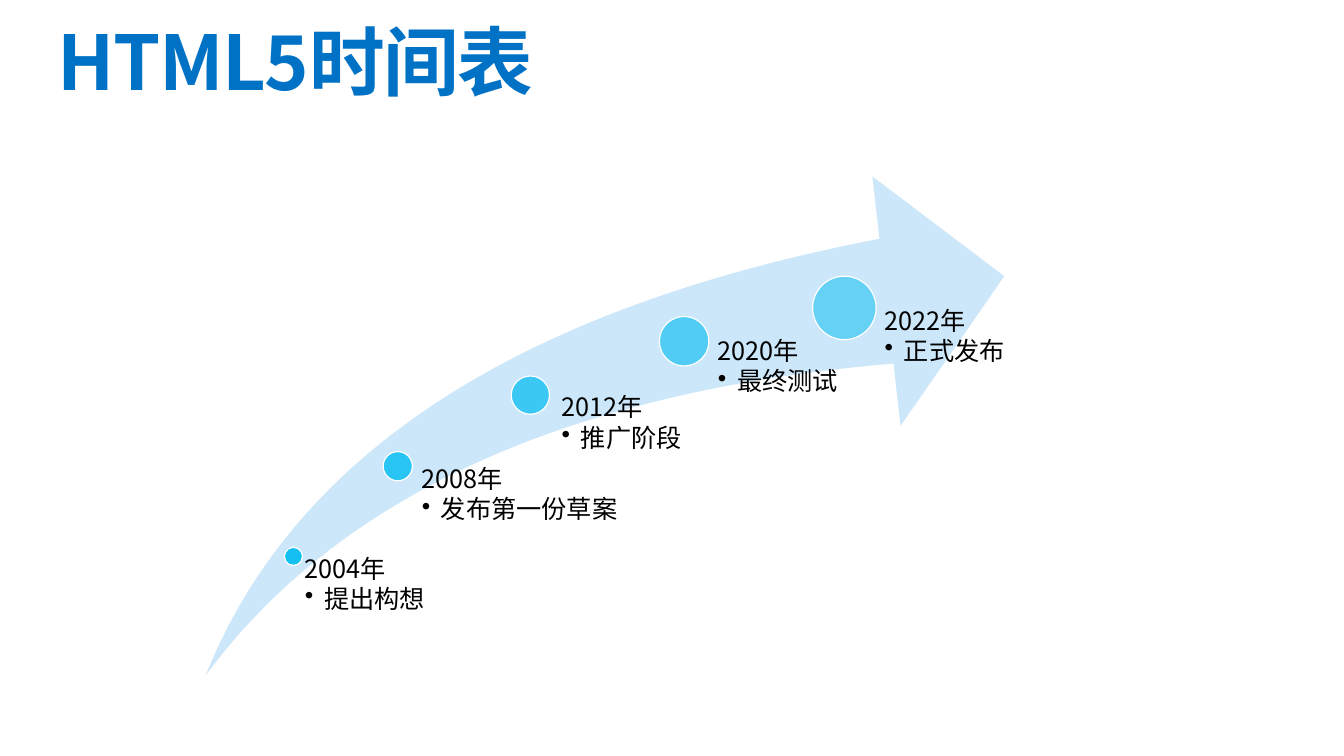
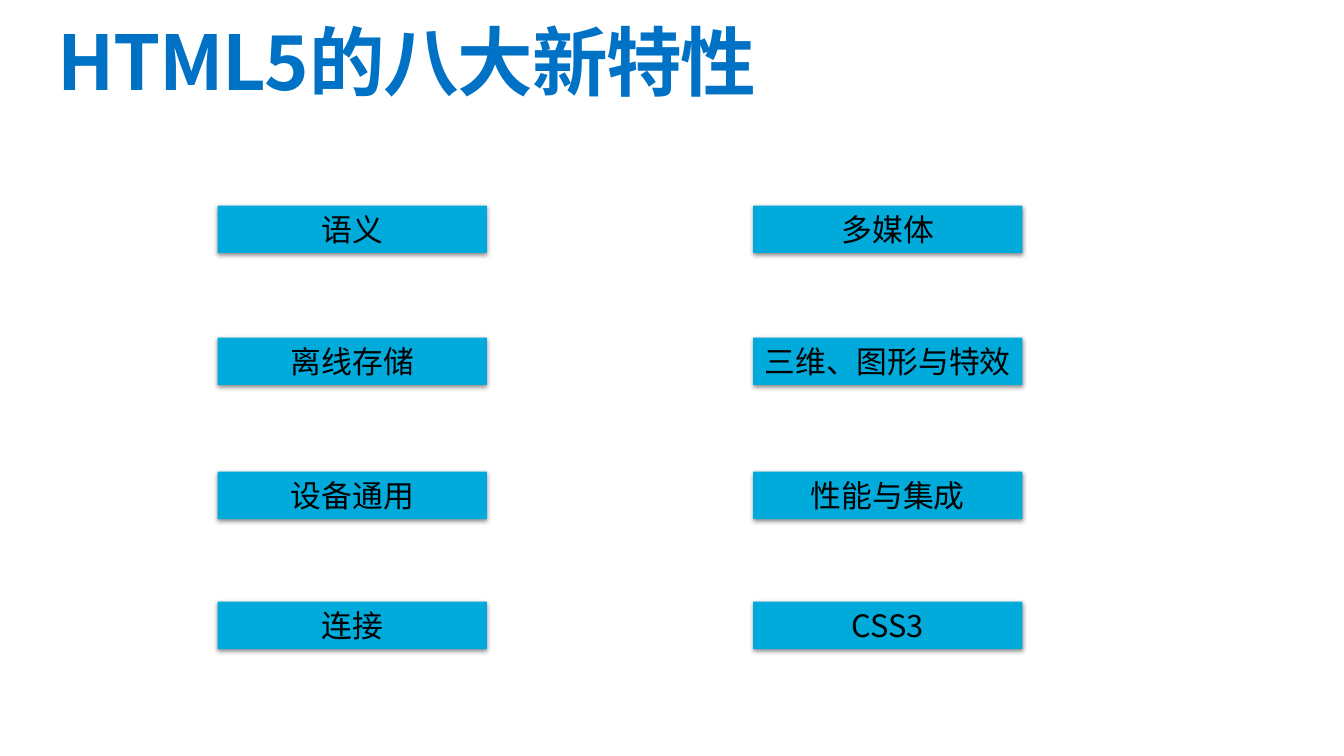
from dataclasses import dataclass
from lxml.etree import SubElement
from pptx import Presentation
from pptx.dml.color import RGBColor
from pptx.enum.shapes import MSO_SHAPE
from pptx.enum.text import MSO_ANCHOR, PP_ALIGN
from pptx.oxml import parse_xml
from pptx.oxml.ns import nsdecls, qn
from pptx.util import Inches, Pt


@dataclass(frozen=True)
class Theme:
    font: str = "Noto Sans CJK SC"
    title: str = "0072C6"
    ink: str = "000000"
    swoosh: str = "CCE7FA"
    dot: str = "00BCF2"
    outline: str = "FFFFFF"
    tile: str = "00ABDC"
    title_size: int = 54
    label_size: int = 18
    tile_size: int = 22


theme = Theme()


def write(holder, lines, size, color=theme.ink, bold=False, align=PP_ALIGN.LEFT, anchor=MSO_ANCHOR.TOP,
          margins=(0, 0, 0, 0), spacing=1.0, after=0, tracking=0, bullet_from=None, wrap=True):
    frame = holder.text_frame
    frame.word_wrap = wrap
    frame.vertical_anchor = anchor
    frame.margin_left, frame.margin_top, frame.margin_right, frame.margin_bottom = map(Inches, margins)
    for index, line in enumerate(lines):
        paragraph = frame.paragraphs[0] if index == 0 else frame.add_paragraph()
        paragraph.alignment = align
        paragraph.line_spacing = spacing
        paragraph.space_after = Pt(after)
        run = paragraph.add_run()
        run.text = line
        run.font.size = Pt(size)
        run.font.bold = bold
        run.font.color.rgb = RGBColor.from_string(color)
        run.font.name = theme.font
        properties = run.font._element
        SubElement(properties, qn("a:ea")).set("typeface", theme.font)
        if tracking:
            properties.set("spc", str(tracking * 100))
        if bullet_from is not None and index >= bullet_from:
            layout = paragraph._p.get_or_add_pPr()
            layout.set("marL", str(Inches(0.19)))
            layout.set("indent", str(-Inches(0.19)))
            SubElement(layout, qn("a:buChar")).set("char", "•")


def add_filled(slide, kind, box, color):
    shape = slide.shapes.add_shape(kind, *map(Inches, box))
    shape.shadow.inherit = False
    shape.fill.solid()
    shape.fill.fore_color.rgb = RGBColor.from_string(color)
    shape.line.fill.background()
    return shape


deck = Presentation()
deck.slide_width = Inches(13.33)
deck.slide_height = Inches(7.5)

slides = []
for heading in ("HTML5时间表", "HTML5的八大新特性"):
    slide = deck.slides.add_slide(deck.slide_layouts[6])
    title = slide.shapes.add_textbox(Inches(0.57), Inches(0.25), Inches(12.19), Inches(0.82))
    write(title, [heading], size=theme.title_size, color=theme.title, bold=True, spacing=0.9, tracking=-1)
    slides.append(slide)
timeline, features = slides

swoosh = add_filled(timeline, MSO_SHAPE.SWOOSH_ARROW, (2.04, 1.75, 7.92, 4.95), theme.swoosh)
swoosh.adjustments[0] = 0.25
swoosh.adjustments[1] = 0.25
swoosh_bottom = 6.7

milestones = [
    ("2004年", "提出构想", 2.82, 5.43, 0.18, 2.93, 5.52, 1.83),
    ("2008年", "发布第一份草案", 3.8, 4.48, 0.29, 4.03, 4.63, 2.16),
    ("2012年", "推广阶段", 5.07, 3.73, 0.38, 5.37, 3.92, 1.83),
    ("2020年", "最终测试", 6.54, 3.14, 0.49, 6.86, 3.36, 1.58),
    ("2022年", "正式发布", 8.06, 2.74, 0.63, 8.44, 3.06, 1.58),
]
for step, (year, event, dot_left, dot_top, diameter, left, top, width) in enumerate(milestones):
    dot = add_filled(timeline, MSO_SHAPE.OVAL, (dot_left, dot_top, diameter, diameter), theme.dot)
    dot.line.color.rgb = RGBColor.from_string(theme.outline)
    dot.line.width = Pt(0.85)
    dot_color = dot.fill._xPr.find(qn("a:solidFill"))[0]
    SubElement(dot_color, qn("a:alpha")).set("val", str(90000 - 10000 * step))
    label = timeline.shapes.add_textbox(Inches(left), Inches(top), Inches(width), Inches(swoosh_bottom - top))
    write(label, [year, event], size=theme.label_size, margins=(diameter * 0.53, 0, 0, 0),
          spacing=0.9, after=2.2, bullet_from=1)

row_tops = (2.04, 3.35, 4.68, 5.97)
feature_columns = {
    2.16: ("语义", "离线存储", "设备通用", "连接"),
    7.47: ("多媒体", "三维、图形与特效", "性能与集成", "CSS3"),
}
for left, names in feature_columns.items():
    for top, name in zip(row_tops, names):
        tile = add_filled(features, MSO_SHAPE.RECTANGLE, (left, top, 2.67, 0.47), theme.tile)
        effects = tile._element.spPr.find(qn("a:effectLst"))
        effects.append(parse_xml(
            f'<a:outerShdw {nsdecls("a")} blurRad="{Pt(3.5)}" dist="{Pt(1.1)}" dir="5400000" rotWithShape="0">'
            f'<a:srgbClr val="{theme.ink}"><a:alpha val="45000"/></a:srgbClr></a:outerShdw>'))
        write(tile, [name], size=theme.tile_size, align=PP_ALIGN.CENTER, anchor=MSO_ANCHOR.MIDDLE, wrap=False)

deck.save("out.pptx")
